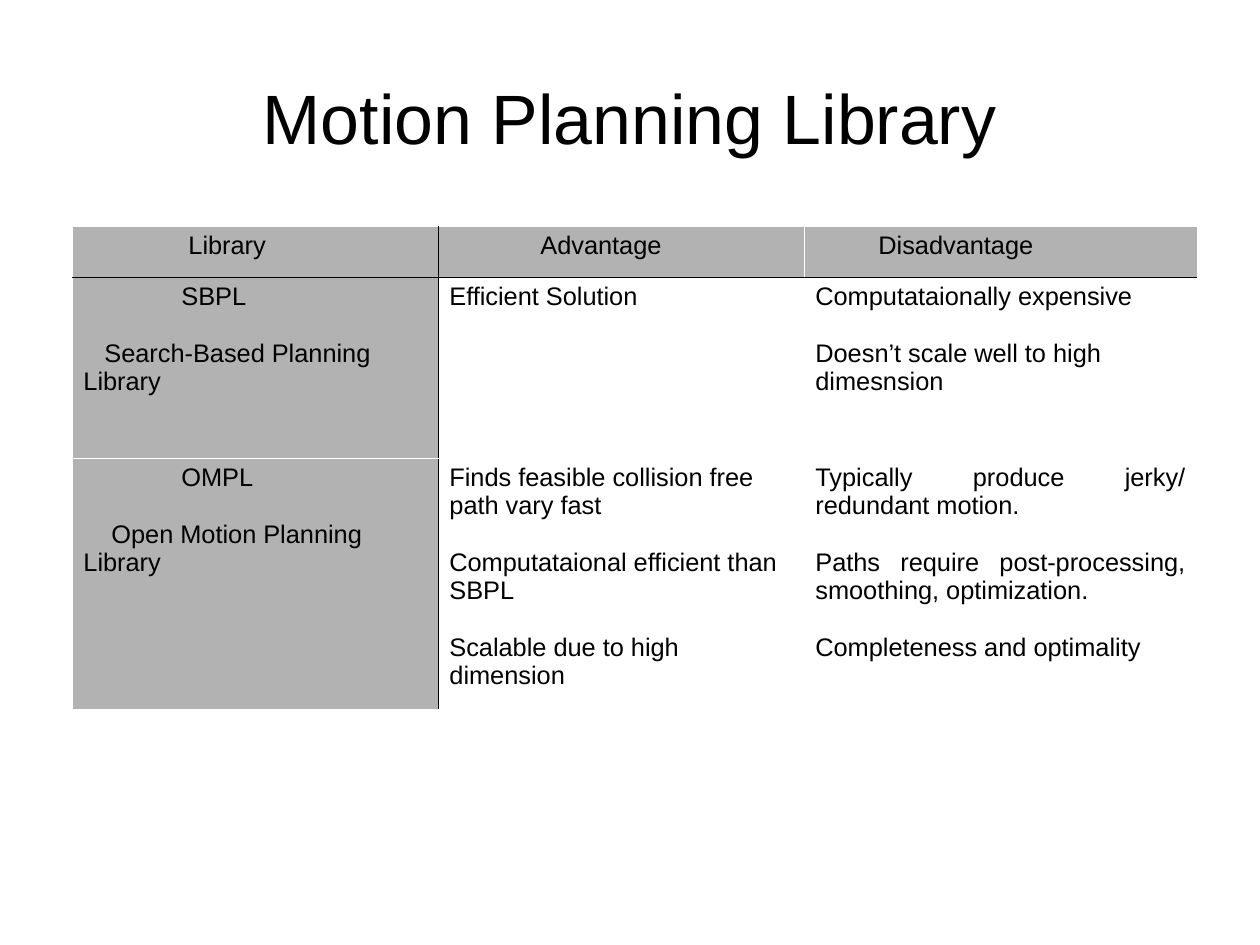
from lxml import etree
from pptx import Presentation
from pptx import util as u
from pptx.dml.color import RGBColor
from pptx.enum import text
from pptx.oxml import ns

PX = 8000  # EMU per pixel
BLACK = RGBColor(0x00, 0x00, 0x00)
WHITE = RGBColor(0xFF, 0xFF, 0xFF)
GREY = RGBColor(0xB2, 0xB2, 0xB2)
LEFT, CENTER, JUSTIFY = (text.PP_ALIGN.LEFT, text.PP_ALIGN.CENTER,
                         text.PP_ALIGN.JUSTIFY)
SPACE = 7  # pixels per step of first-line indent


def write(frame, lines, size=16, align=LEFT, indents=(), gap=0):
    """Write one paragraph per line, with a gap between paragraphs."""
    frame.word_wrap = True
    for i, line in enumerate(lines):
        para = frame.paragraphs[0] if i == 0 else frame.add_paragraph()
        para.alignment = align
        if i:
            para.space_before = u.Pt(gap)
        if i < len(indents):
            para._p.get_or_add_pPr().set("indent", str(indents[i] * SPACE * PX))
        run = para.add_run()
        run.text = line
        run.font.size = u.Pt(size)
        run.font.name = "Arial"
        run.font.color.rgb = BLACK


def border(cell, side, color):
    line = etree.SubElement(cell._tc.get_or_add_tcPr(), ns.qn("a:ln" + side), w="762")
    fill = etree.SubElement(line, ns.qn("a:solidFill"))
    etree.SubElement(fill, ns.qn("a:srgbClr"), val=str(color))


prs = Presentation()
prs.slide_width, prs.slide_height = 1260 * PX, 945 * PX
slide = prs.slides.add_slide(prs.slide_layouts[6])

# Title
title = slide.shapes.add_textbox(63 * PX, 38 * PX, 1134 * PX, 158 * PX).text_frame
title.margin_left = title.margin_right = title.margin_top = title.margin_bottom = 0
title.vertical_anchor = text.MSO_ANCHOR.MIDDLE
write(title, ["Motion Planning Library"], size=44, align=CENTER)

# Comparison of libraries: (lines, first-line indents, alignment)
comparison = [
    [(["Library"], [15], LEFT),
     (["Advantage"], [13], LEFT),
     (["Disadvantage"], [9], LEFT)],
    [(["SBPL", "Search-Based Planning Library"], [14, 3], LEFT),
     (["Efficient Solution"], [], LEFT),
     (["Computataionally expensive",
       "Doesn’t scale well to high dimesnsion"], [], LEFT)],
    [(["OMPL", "Open Motion Planning Library"], [14, 4], LEFT),
     (["Finds feasible collision free path vary fast",
       "Computataional efficient than SBPL",
       "Scalable due to high dimension"], [], LEFT),
     (["Typically produce jerky/ redundant motion.",
       "Paths require post-processing, smoothing, optimization.",
       "Completeness and optimality"], [], JUSTIFY)],
]
widths = [366, 366, 393]
heights = [51, 181, 237]
table = slide.shapes.add_table(3, 3, 72 * PX, 226 * PX,
                               sum(widths) * PX, sum(heights) * PX).table
table.first_row = table.horz_banding = False
for column, width in zip(table.columns, widths):
    column.width = width * PX
for row, height in zip(table.rows, heights):
    row.height = height * PX

for r, entries in enumerate(comparison):
    for c, (lines, indents, align) in enumerate(entries):
        cell = table.cell(r, c)
        # Black rules below the header and beside the library names
        edges = {"L": c == 1, "R": c == 0, "T": r == 1, "B": r == 0}
        for side, ruled in edges.items():
            border(cell, side, BLACK if ruled else WHITE)
        cell.fill.solid()
        cell.fill.fore_color.rgb = GREY if r == 0 or c == 0 else WHITE
        write(cell.text_frame, lines, align=align, indents=indents, gap=18)

prs.save("out.pptx")
